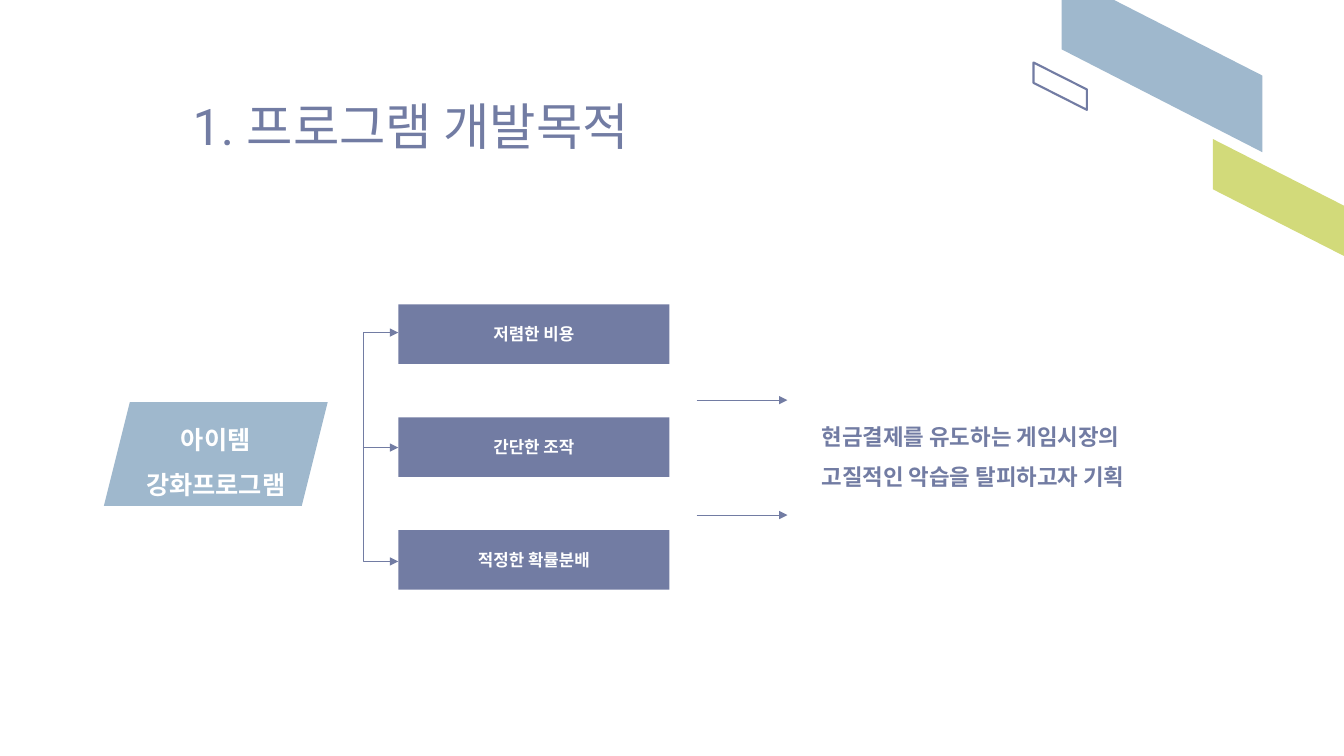
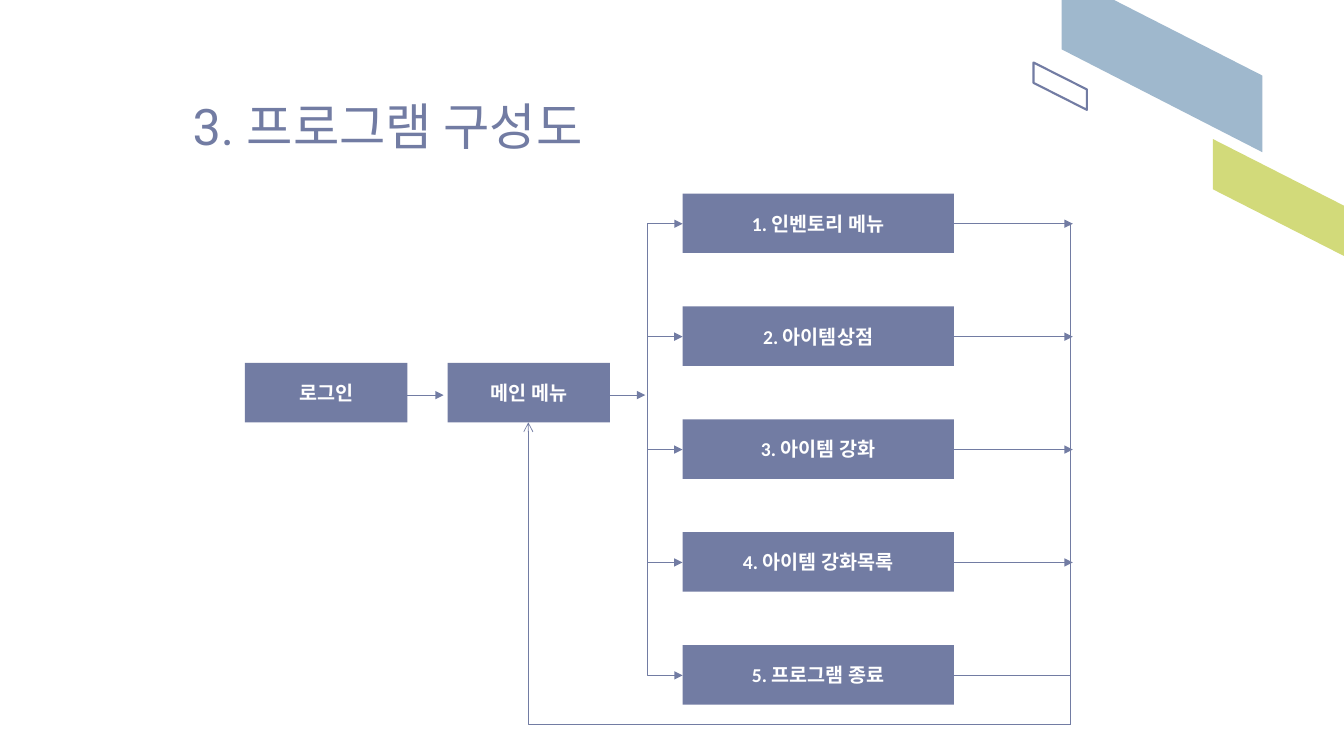
from dataclasses import dataclass

from lxml import etree
from pptx import Presentation
from pptx import util as u
from pptx.dml import color
from pptx.enum import shapes, text
from pptx.oxml import ns


@dataclass(frozen=True)
class Theme:
    violet: color.RGBColor = color.RGBColor(0x72, 0x7C, 0xA3)
    blue: color.RGBColor = color.RGBColor(0x9F, 0xB8, 0xCD)
    lime: color.RGBColor = color.RGBColor(0xD2, 0xDA, 0x7A)
    white: color.RGBColor = color.RGBColor(0xFF, 0xFF, 0xFF)
    heading_font: str = "Roboto"
    body_font: str = "Calibri"
    title_size: int = 36
    subject_size: int = 18
    conclusion_size: int = 16
    menu_size: int = 14
    feature_size: int = 12


theme = Theme()
Inches = u.Inches
preset = shapes.MSO_SHAPE
straight = shapes.MSO_CONNECTOR.STRAIGHT


def write(shape, *lines, size, font=theme.body_font, ink=theme.white, bold=True,
          align=text.PP_ALIGN.CENTER, spacing=None):
    frame = shape.text_frame
    frame.word_wrap = True
    frame.auto_size = text.MSO_AUTO_SIZE.NONE
    frame.vertical_anchor = text.MSO_ANCHOR.MIDDLE
    frame.text = "\n".join(lines)
    for para in frame.paragraphs:
        para.alignment = align
        para.line_spacing = spacing
        for span in para.runs:
            span.font.name = font
            span.font.size = u.Pt(size)
            span.font.bold = bold
            span.font.color.rgb = ink


def outline(shape, head="none", tail="none", weight=0.5):
    shape.line.color.rgb = theme.violet
    shape.line.width = u.Pt(weight)
    properties = shape.element.spPr
    stroke = properties.find(ns.qn("a:ln"))
    etree.SubElement(stroke, ns.qn("a:headEnd"), type=head)
    etree.SubElement(stroke, ns.qn("a:tailEnd"), type=tail)
    etree.SubElement(properties, ns.qn("a:effectLst"))


deck = Presentation()
deck.slide_width = Inches(13.33)
deck.slide_height = Inches(7.5)

pages = []
for title_text in ("1. 프로그램 개발목적", "3. 프로그램 구성도"):
    page = deck.slides.add_slide(deck.slide_layouts[5])
    pages.append(page)

    title = page.shapes.title
    title.left, title.top = Inches(1.81), Inches(0.89)
    title.width, title.height = Inches(5.83), Inches(0.71)
    write(title, title_text, size=theme.title_size, font=theme.heading_font,
          ink=theme.violet, bold=False, align=text.PP_ALIGN.LEFT)

    band = page.shapes.build_freeform(Inches(10.53), 0)
    band.add_line_segments([(Inches(x), Inches(y)) for x, y in
                            ((11.05, 0), (12.52, 0.75), (12.52, 1.51), (10.53, 0.49))])
    blue_band = band.convert_to_shape()
    lime_band = page.shapes.add_shape(
        preset.PARALLELOGRAM, Inches(12.1), Inches(1.31), Inches(1.16), Inches(1.3))
    hollow_band = page.shapes.add_shape(
        preset.PARALLELOGRAM, Inches(10.28), Inches(0.59), Inches(0.47), Inches(0.53))
    for slanted in (lime_band, hollow_band):
        slanted.rotation = 90
        slanted.adjustments[0] = 0.57
    for filled, tint in ((blue_band, theme.blue), (lime_band, theme.lime)):
        filled.fill.solid()
        filled.fill.fore_color.rgb = tint
        filled.line.fill.background()
        filled.shadow.inherit = False
    hollow_band.fill.background()
    outline(hollow_band, weight=1.5)

purpose, structure = pages
row_pitch = 1.12
box_height = 0.59
features = ("저렴한 비용", "간단한 조작", "적정한 확률분배")
menus = ("1. 인벤토리 메뉴", "2. 아이템상점", "3. 아이템 강화", "4. 아이템 강화목록", "5. 프로그램 종료")

boxes = [(structure, "로그인", 2.43, 3.6, 1.61, theme.menu_size),
         (structure, "메인 메뉴", 4.44, 3.6, 1.61, theme.menu_size)]
arrows = [(purpose, 3.6, 4.44, 3.95), (purpose, 6.91, 3.97, 7.81), (purpose, 6.91, 5.11, 7.81),
          (structure, 4.04, 3.92, 4.4), (structure, 6.04, 3.92, 6.4)]
for row, feature in enumerate(features):
    boxes.append((purpose, feature, 3.95, 3.02 + row * row_pitch, 2.69, theme.feature_size))
for row, menu in enumerate(menus):
    boxes.append((structure, menu, 6.77, 1.92 + row * row_pitch, 2.69, theme.menu_size))
for row in range(1, 4):
    arrows.append((structure, 6.42, 2.22 + row * row_pitch, 6.77))
for row in range(4):
    arrows.append((structure, 9.46, 2.22 + row * row_pitch, 10.64))

for page, left, top, height in ((purpose, 3.6, 3.3, 2.27), (structure, 6.42, 2.22, 4.48)):
    bracket = page.shapes.add_shape(
        preset.LEFT_BRACKET, Inches(left), Inches(top), Inches(0.35), Inches(height))
    bracket.adjustments[0] = 0
    bracket.fill.background()
    outline(bracket, head="triangle", tail="triangle")

for page, left, y, right in arrows:
    arrow = page.shapes.add_connector(straight, Inches(left), Inches(y), Inches(right), Inches(y))
    outline(arrow, tail="triangle")

for page, label, left, top, width, size in boxes:
    box = page.shapes.add_shape(
        preset.RECTANGLE, Inches(left), Inches(top), Inches(width), Inches(box_height))
    box.fill.solid()
    box.fill.fore_color.rgb = theme.violet
    box.line.fill.background()
    box.shadow.inherit = False
    write(box, label, size=size)

subject = purpose.shapes.add_shape(
    preset.PARALLELOGRAM, Inches(1.03), Inches(3.99), Inches(2.22), Inches(1.03))
subject.fill.solid()
subject.fill.fore_color.rgb = theme.blue
subject.line.fill.background()
subject.shadow.inherit = False
write(subject, "아이템 강화프로그램", size=theme.subject_size, font=theme.heading_font, spacing=1.5)

conclusion = purpose.shapes.add_textbox(Inches(8.05), Inches(3.81), Inches(4.31), Inches(1.3))
write(conclusion, "현금결제를 유도하는 게임시장의", "고질적인 악습을 탈피하고자 기획",
      size=theme.conclusion_size, ink=theme.violet, align=text.PP_ALIGN.LEFT, spacing=1.5)

for x1, y1, x2, y2 in ((10.62, 2.22, 10.62, 7.19), (9.46, 6.7, 10.62, 6.7)):
    collector = structure.shapes.add_connector(
        straight, Inches(x1), Inches(y1), Inches(x2), Inches(y2))
    outline(collector)

return_route = structure.shapes.add_connector(
    shapes.MSO_CONNECTOR.ELBOW, Inches(5.24), Inches(4.19), Inches(10.62), Inches(7.19))
route_properties = return_route.element.spPr
route_properties.find(ns.qn("a:xfrm")).set("rot", "10800000")
route_properties.find(ns.qn("a:prstGeom")).set("prst", "bentConnector2")
outline(return_route, tail="arrow")

deck.save("out.pptx")
